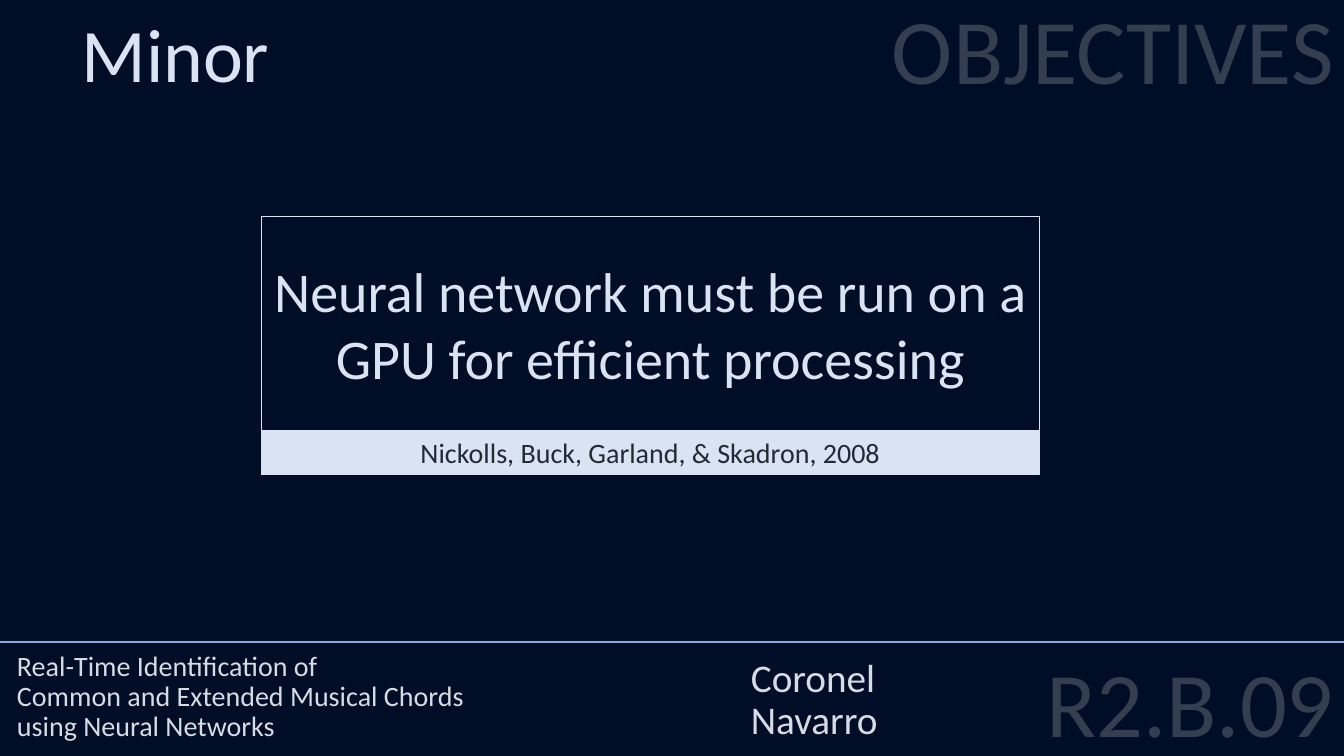
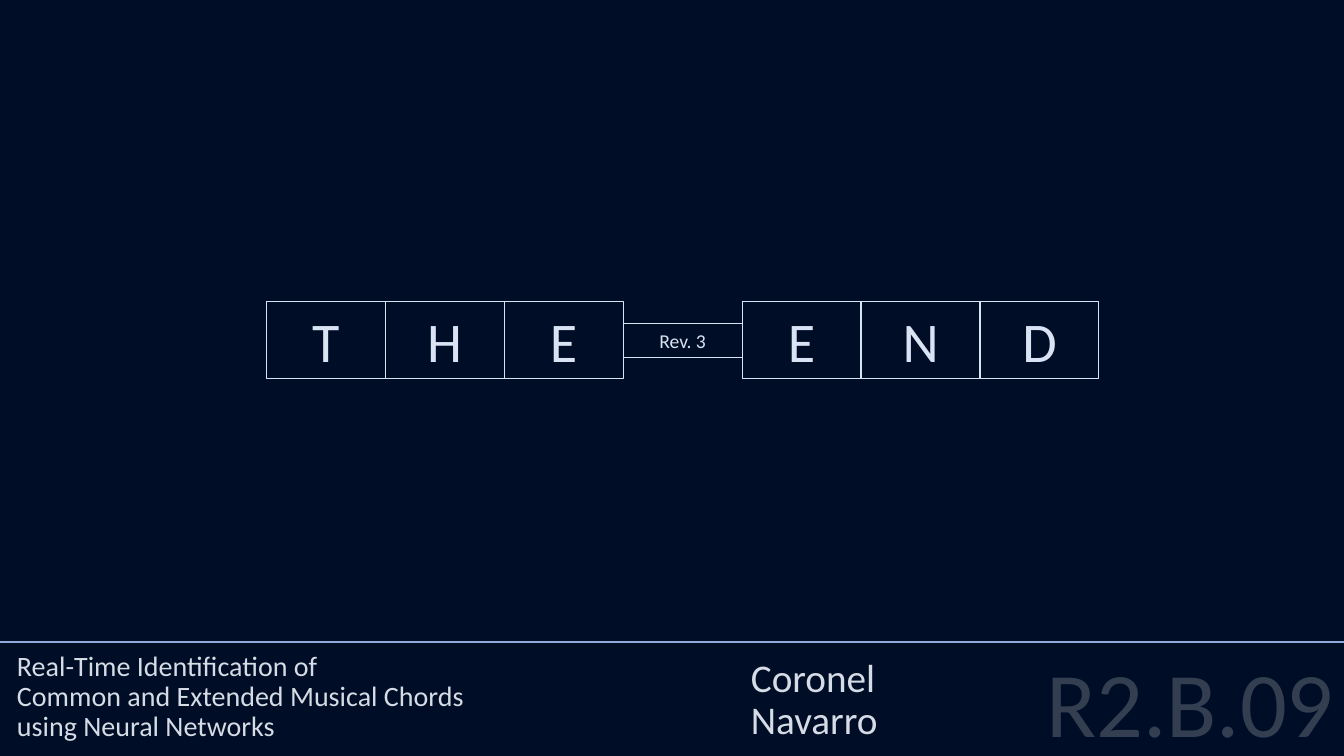
"""Build the closing slides of the chord identification presentation."""
from dataclasses import dataclass
from typing import Optional

from lxml import etree
from pptx import Presentation
from pptx.dml.color import RGBColor
from pptx.enum import shapes, text
from pptx.oxml import ns
from pptx.util import Inches, Pt

LEFT, CENTER, RIGHT = text.PP_ALIGN.LEFT, text.PP_ALIGN.CENTER, text.PP_ALIGN.RIGHT
TOP, MIDDLE, BOTTOM = text.MSO_ANCHOR.TOP, text.MSO_ANCHOR.MIDDLE, text.MSO_ANCHOR.BOTTOM


@dataclass(frozen=True)
class Theme:
    """Colours, type sizes (points) and slide size (inches)."""
    font: str = "Calibri"
    background: str = "000D26"
    pale: str = "DAE3F3"
    footer: str = "D6DCE5"
    muted: str = "333F50"
    rule: str = "8FAADC"
    dark: str = "222A35"
    label_size: int = 66
    title_size: int = 54
    statement_size: int = 40
    names_size: int = 28
    small_size: int = 20
    revision_size: int = 14
    border_width: float = 0.75
    rule_width: float = 1.5
    slide_width: float = 13.33
    slide_height: float = 7.5


THEME = Theme()


@dataclass(frozen=True)
class Box:
    """A text area in inches; a border makes it a rectangle."""
    paragraphs: tuple[str, ...]
    left: float
    top: float
    width: float
    height: float
    size: int
    color: str = THEME.pale
    align: text.PP_ALIGN = LEFT
    anchor: text.MSO_ANCHOR = TOP
    line_spacing: float = 1.0
    space_before: int = 0
    border: bool = False
    fill: Optional[str] = None
    grow: bool = False


FOOTER = (
    Box(("Real-Time Identification of\nCommon and Extended Musical Chords\n"
         "using Neural Networks",), 0.07, 4.43, 7.28, 2.99, THEME.small_size,
        THEME.footer, anchor=BOTTOM, line_spacing=0.9),
    Box(("R2.B.09",), 8.46, 6.56, 4.87, 1.04, THEME.label_size, THEME.muted,
        RIGHT, line_spacing=0.8, space_before=10),
    Box(("Coronel", "Navarro"), 7.35, 4.43, 5.1, 2.99, THEME.names_size,
        THEME.footer, anchor=BOTTOM, line_spacing=0.9),
)
FOOTER_TOP = 6.37


def add_paragraphs(shape, box: Box) -> None:
    """Write the box's paragraphs run by run."""
    frame = shape.text_frame
    frame.word_wrap = True
    frame.vertical_anchor = box.anchor
    frame.auto_size = (text.MSO_AUTO_SIZE.SHAPE_TO_FIT_TEXT if box.grow
                       else text.MSO_AUTO_SIZE.NONE)
    for index, content in enumerate(box.paragraphs):
        paragraph = frame.add_paragraph() if index else frame.paragraphs[0]
        paragraph.alignment = box.align
        paragraph.line_spacing = box.line_spacing
        paragraph.space_before = Pt(box.space_before)
        for number, line in enumerate(content.split("\n")):
            if number:
                paragraph.add_line_break()
            run = paragraph.add_run()
            run.text = line
            run.font.name = THEME.font
            run.font.size = Pt(box.size)
            run.font.color.rgb = RGBColor.from_string(box.color)


def add_box(slide, box: Box) -> None:
    """Draw a box as a text box or as a bordered rectangle."""
    area = [Inches(value) for value in (box.left, box.top, box.width, box.height)]
    if box.border:
        shape = slide.shapes.add_shape(shapes.MSO_SHAPE.RECTANGLE, *area)
        shape.shadow.inherit = False
        shape.line.color.rgb = RGBColor.from_string(THEME.pale)
        shape.line.width = Pt(THEME.border_width)
        if box.fill:
            shape.fill.solid()
            shape.fill.fore_color.rgb = RGBColor.from_string(box.fill)
        else:
            shape.fill.background()
    else:
        shape = slide.shapes.add_textbox(*area)
    add_paragraphs(shape, box)


def add_footer(slide) -> None:
    """Draw the rule and the texts below it."""
    rule = slide.shapes.add_connector(
        shapes.MSO_CONNECTOR.STRAIGHT, Inches(0), Inches(FOOTER_TOP),
        Inches(THEME.slide_width), Inches(FOOTER_TOP))
    rule.line.color.rgb = RGBColor.from_string(THEME.rule)
    rule.line.width = Pt(THEME.rule_width)
    etree.SubElement(rule._element.spPr, ns.qn("a:effectLst"))
    for box in FOOTER:
        add_box(slide, box)


def add_slide(presentation, boxes: list[Box]) -> None:
    """Add a blank slide with the footer and the given boxes."""
    slide = presentation.slides.add_slide(presentation.slide_layouts[6])
    add_footer(slide)
    for box in boxes:
        add_box(slide, box)


def objective_boxes() -> list[Box]:
    """Return the minor objective with its citation."""
    left, top, width, height = 2.59, 2.15, 7.72, 2.12
    return [
        Box(("OBJECTIVES",), 2.22, 0, 11.11, 3.58, THEME.label_size, THEME.muted,
            RIGHT, line_spacing=0.9, space_before=10),
        Box(("Minor",), 0.71, 0.02, 8.35, 1.01, THEME.title_size, grow=True),
        Box(("Neural network must be run on a GPU for efficient processing",),
            left, top, width, height, THEME.statement_size, align=CENTER,
            anchor=MIDDLE, border=True),
        Box(("Nickolls, Buck, Garland, & Skadron, 2008",), left, top + height,
            width, 0.44, THEME.small_size, THEME.dark, CENTER, border=True,
            fill=THEME.pale, grow=True),
    ]


def ending_boxes() -> list[Box]:
    """Return one tile per letter, with the revision in the word gap."""
    left, top, width, height = 2.64, 2.99, 1.18, 0.77
    revision_height = 0.34
    boxes = []
    for index, letter in enumerate("THE END"):
        tile_left = left + index * width
        if letter == " ":
            boxes.append(Box(("Rev. 3",), tile_left,
                             top + (height - revision_height) / 2, width,
                             revision_height, THEME.revision_size, align=CENTER,
                             anchor=MIDDLE, border=True, grow=True))
        else:
            boxes.append(Box((letter,), tile_left, top, width, height,
                             THEME.statement_size, align=CENTER, border=True,
                             grow=True))
    return boxes


def main() -> None:
    """Build and save the presentation."""
    presentation = Presentation()
    presentation.slide_width = Inches(THEME.slide_width)
    presentation.slide_height = Inches(THEME.slide_height)
    background = presentation.slide_master.background.fill
    background.solid()
    background.fore_color.rgb = RGBColor.from_string(THEME.background)
    for boxes in (objective_boxes(), ending_boxes()):
        add_slide(presentation, boxes)
    presentation.save("out.pptx")


main()
